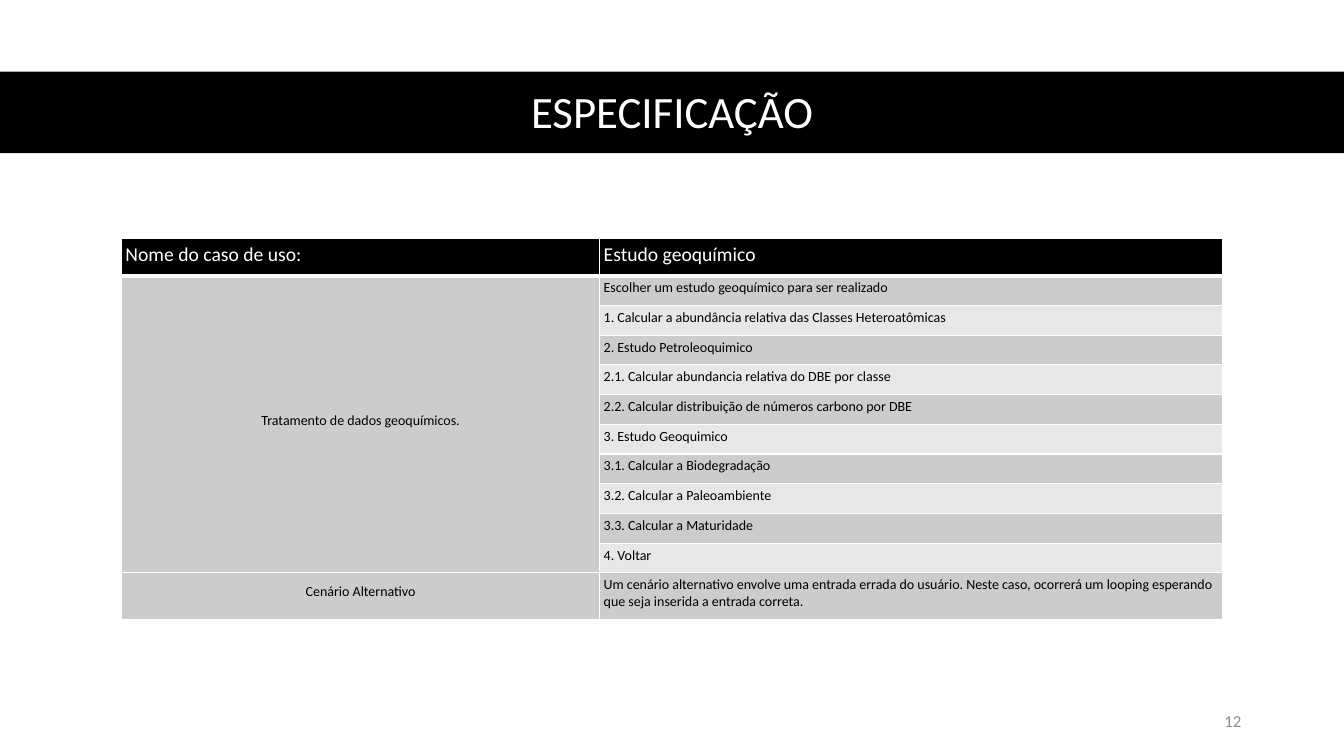
from lxml import etree
from pptx import Presentation
from pptx.dml.color import RGBColor
from pptx.enum.shapes import MSO_SHAPE
from pptx.enum.text import MSO_ANCHOR, PP_ALIGN
from pptx.oxml.ns import qn
from pptx.util import Emu, Pt

RECTANGLE = MSO_SHAPE.RECTANGLE
MIDDLE, BOTTOM = MSO_ANCHOR.MIDDLE, MSO_ANCHOR.BOTTOM
LEFT, CENTER, RIGHT = PP_ALIGN.LEFT, PP_ALIGN.CENTER, PP_ALIGN.RIGHT

FONT = "Calibri"
BLACK, WHITE, GRAY = "000000", "FFFFFF", "8C8C8C"
BANDS = ("CCCCCC", "E7E7E7")

HEADER = ("Nome do caso de uso:", "Estudo geoquímico")
USE_CASE = "Tratamento de dados geoquímicos."
STEPS = [
    "Escolher um estudo geoquímico para ser realizado",
    "1. Calcular a abundância relativa das Classes Heteroatômicas",
    "2. Estudo Petroleoquimico",
    "2.1. Calcular abundancia relativa do DBE por classe",
    "2.2. Calcular distribuição de números carbono por DBE",
    "3. Estudo Geoquimico",
    "3.1. Calcular a Biodegradação",
    "3.2. Calcular a Paleoambiente",
    "3.3. Calcular a Maturidade",
    "4. Voltar",
]
ALTERNATIVE = (
    "Cenário Alternativo",
    "Um cenário alternativo envolve uma entrada errada do usuário. Neste caso, "
    "ocorrerá um looping esperando que seja inserida a entrada correta.",
)


def px(length):
    """Convert px to EMU at 200 px to the inch."""
    return Emu(length * 4572)


def color(hex_string):
    return RGBColor.from_string(hex_string)


def write(text_frame, text, size, font_color, alignment):
    paragraph = text_frame.paragraphs[0]
    paragraph.text = text
    paragraph.alignment = alignment
    paragraph.font.name = FONT
    paragraph.font.size = Pt(size)
    paragraph.font.color.rgb = color(font_color)
    return paragraph


def add_text(slide, box, text, size, font_color, alignment):
    text_frame = slide.shapes.add_textbox(*map(px, box)).text_frame
    text_frame.word_wrap = True
    text_frame.vertical_anchor = MIDDLE
    return write(text_frame, text, size, font_color, alignment)


def add_title_band(slide, box, title):
    left, top, width, height = box
    band = slide.shapes.add_shape(RECTANGLE, *map(px, box))
    band.shadow.inherit = False
    band.fill.solid()
    band.fill.fore_color.rgb = color(BLACK)
    band.line.fill.background()
    title_box = (left + 184, top + 6, width - 367, height - 6)
    paragraph = add_text(slide, title_box, title, 32, WHITE, CENTER)
    paragraph.line_spacing = 0.9


def set_borders(cell, top_width, bottom_width):
    properties = cell._tc.get_or_add_tcPr()
    widths = {"a:lnL": 1, "a:lnR": 1, "a:lnT": top_width, "a:lnB": bottom_width}
    for tag, width in widths.items():
        line = etree.SubElement(properties, qn(tag), w=str(Pt(width)))
        fill = etree.SubElement(line, qn("a:solidFill"))
        etree.SubElement(fill, qn("a:srgbClr"), val=WHITE)


def style_cell(cell, row, fill_color):
    # Borders come before the fill in the cell properties
    set_borders(cell, 3 if row == 1 else 1, 3 if row == 0 else 1)
    cell.fill.solid()
    cell.fill.fore_color.rgb = color(fill_color)
    cell.margin_left = cell.margin_right = px(8)
    cell.margin_top, cell.margin_bottom = px(2), px(18)


def add_use_case_table(slide, box):
    left, top, width, height = box
    rows = [HEADER]
    rows += [(USE_CASE if index == 0 else "", step) for index, step in enumerate(STEPS)]
    rows.append(ALTERNATIVE)
    table = slide.shapes.add_table(len(rows), 2, *map(px, box)).table

    # Column widths and row heights
    name_width, header_height, last_height = 949, 74, 92
    table.columns[0].width = px(name_width)
    table.columns[1].width = px(width - name_width)
    step_height = (height - header_height - last_height) // len(STEPS)
    heights = [header_height] + [step_height] * len(STEPS) + [last_height]

    # Cells
    for row, (texts, row_height) in enumerate(zip(rows, heights)):
        table.rows[row].height = px(row_height)
        for column, text in enumerate(texts):
            cell = table.cell(row, column)
            is_header, is_label = row == 0, row > 0 and column == 0
            band = BANDS[0] if is_label else BANDS[(row - 1) % 2]
            style_cell(cell, row, BLACK if is_header else band)
            cell.vertical_anchor = MIDDLE if is_label else BOTTOM
            write(cell.text_frame, text, 14 if is_header else 10,
                  WHITE if is_header else BLACK, CENTER if is_label else LEFT)
    table.cell(1, 0).merge(table.cell(len(STEPS), 0))


def add_page_number(slide, box, number):
    paragraph = add_text(slide, box, number, 12, GRAY, RIGHT)
    paragraph.space_after = Pt(6)


def main():
    presentation = Presentation()
    presentation.slide_width, presentation.slide_height = px(2667), px(1500)
    slide = presentation.slides.add_slide(presentation.slide_layouts[6])
    add_title_band(slide, (0, 142, 2667, 162), "ESPECIFICAÇÃO")
    add_page_number(slide, (1883, 1390, 600, 80), "12")
    add_use_case_table(slide, (241, 473, 2185, 756))
    presentation.save("out.pptx")


if __name__ == "__main__":
    main()
